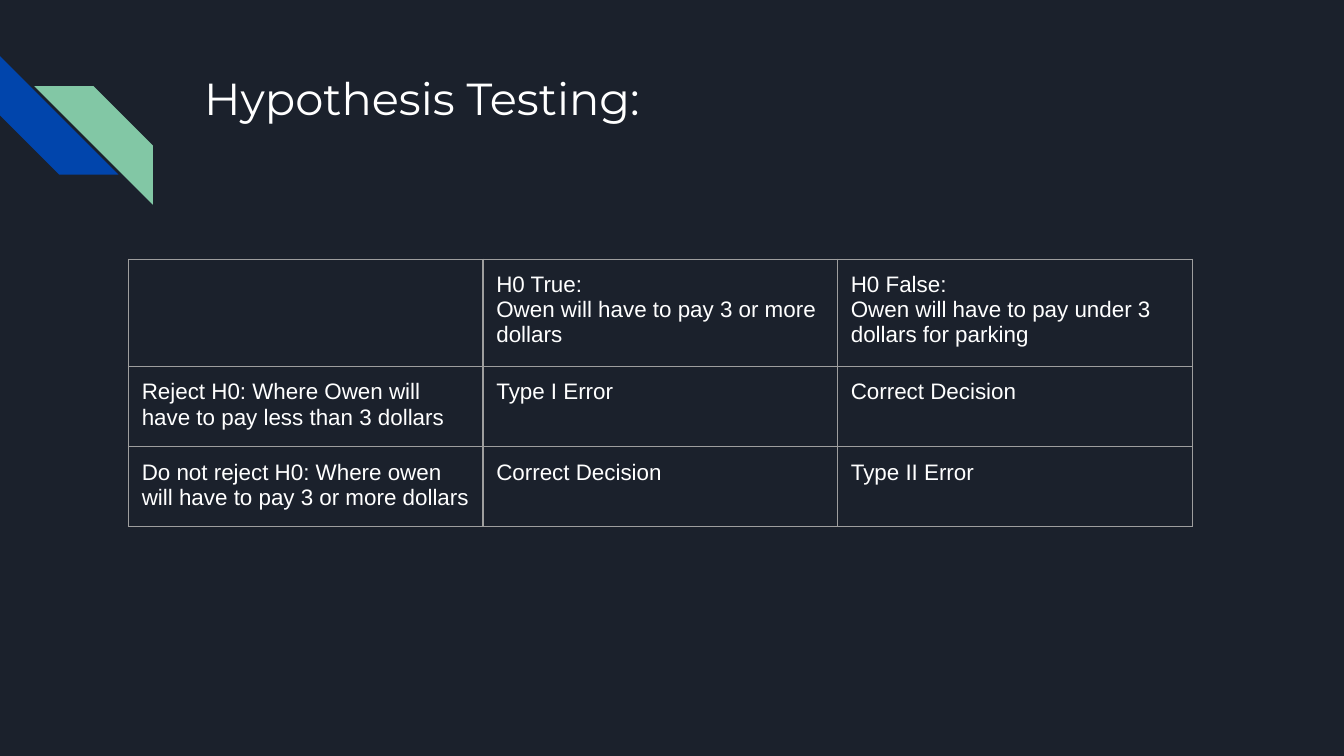
from lxml.etree import SubElement as Sub
from pptx import Presentation
from pptx.dml.color import RGBColor as RGB
from pptx.enum.shapes import MSO_SHAPE as Shape
from pptx.enum.text import MSO_ANCHOR as Anchor
from pptx.oxml.ns import qn
from pptx.util import Cm, Pt

# Content
TITLE = "Hypothesis Testing:"
ROWS = [
    [[],
     ["H0 True:", "Owen will have to pay 3 or more dollars"],
     ["H0 False:", "Owen will have to pay under 3 dollars for parking"]],
    [["Reject H0: Where Owen will have to pay less than 3 dollars"],
     ["Type I Error"],
     ["Correct Decision"]],
    [["Do not reject H0: Where owen will have to pay 3 or more dollars"],
     ["Correct Decision"],
     ["Type II Error"]],
]
COLORS = {"back": "1B212C", "blue": "0145AC", "green": "82C7A5",
          "text": "FFFFFF", "line": "9E9E9E"}

# Layout in cm
SIDE = 2.24
STRIPES = [("blue", 0, 1.06, 270), ("green", 0.65, 1.63, 90)]
COL = 6.7
HEIGHTS = [1.93, 1.46, 1.46]
PAD = Cm(0.25)


def color(name):
    return RGB.from_string(COLORS[name])


def write(frame, lines, font, size):
    for i, line in enumerate(lines):
        para = frame.add_paragraph() if i else frame.paragraphs[0]
        run = para.add_run()
        run.text = line
        run.font.name = font
        run.font.size = Pt(size)
        run.font.bold = False
        run.font.color.rgb = color("text")


def pad(box):
    box.margin_left = box.margin_right = PAD
    box.margin_top = box.margin_bottom = PAD
    box.vertical_anchor = Anchor.TOP


def border(cell):
    props = cell._tc.get_or_add_tcPr()
    for i, side in enumerate(("lnL", "lnR", "lnT", "lnB")):
        line = props.makeelement(qn("a:" + side), {"w": str(Pt(0.75))})
        fill = Sub(line, qn("a:solidFill"))
        Sub(fill, qn("a:srgbClr"), val=COLORS["line"])
        props.insert(i, line)


prs = Presentation()
prs.slide_width, prs.slide_height = Cm(25.4), Cm(14.29)
slide = prs.slides.add_slide(prs.slide_layouts[6])
slide.background.fill.solid()
slide.background.fill.fore_color.rgb = color("back")

# Corner stripes
for name, x, y, turn in STRIPES:
    stripe = slide.shapes.add_shape(
        Shape.DIAGONAL_STRIPE, Cm(x), Cm(y), Cm(SIDE), Cm(SIDE))
    stripe.rotation = turn
    stripe.shadow.inherit = False
    stripe.fill.solid()
    stripe.fill.fore_color.rgb = color(name)
    stripe.line.fill.background()

# Title
frame = slide.shapes.add_textbox(
    Cm(3.61), Cm(1.09), Cm(19.56), Cm(2.54)).text_frame
frame.word_wrap = True
pad(frame)
write(frame, [TITLE], "Montserrat", 24)

# Decision table
cols = len(ROWS[0])
table = slide.shapes.add_table(
    len(ROWS), cols, Cm(2.43), Cm(4.9),
    Cm(COL * cols), Cm(sum(HEIGHTS))).table
table.first_row = table.horz_banding = False
for col in table.columns:
    col.width = Cm(COL)
for r, (row, high) in enumerate(zip(ROWS, HEIGHTS)):
    table.rows[r].height = Cm(high)
    for c, lines in enumerate(row):
        cell = table.cell(r, c)
        pad(cell)
        cell.fill.background()
        border(cell)
        write(cell.text_frame, lines, "Arial", 12)

prs.save("out.pptx")
